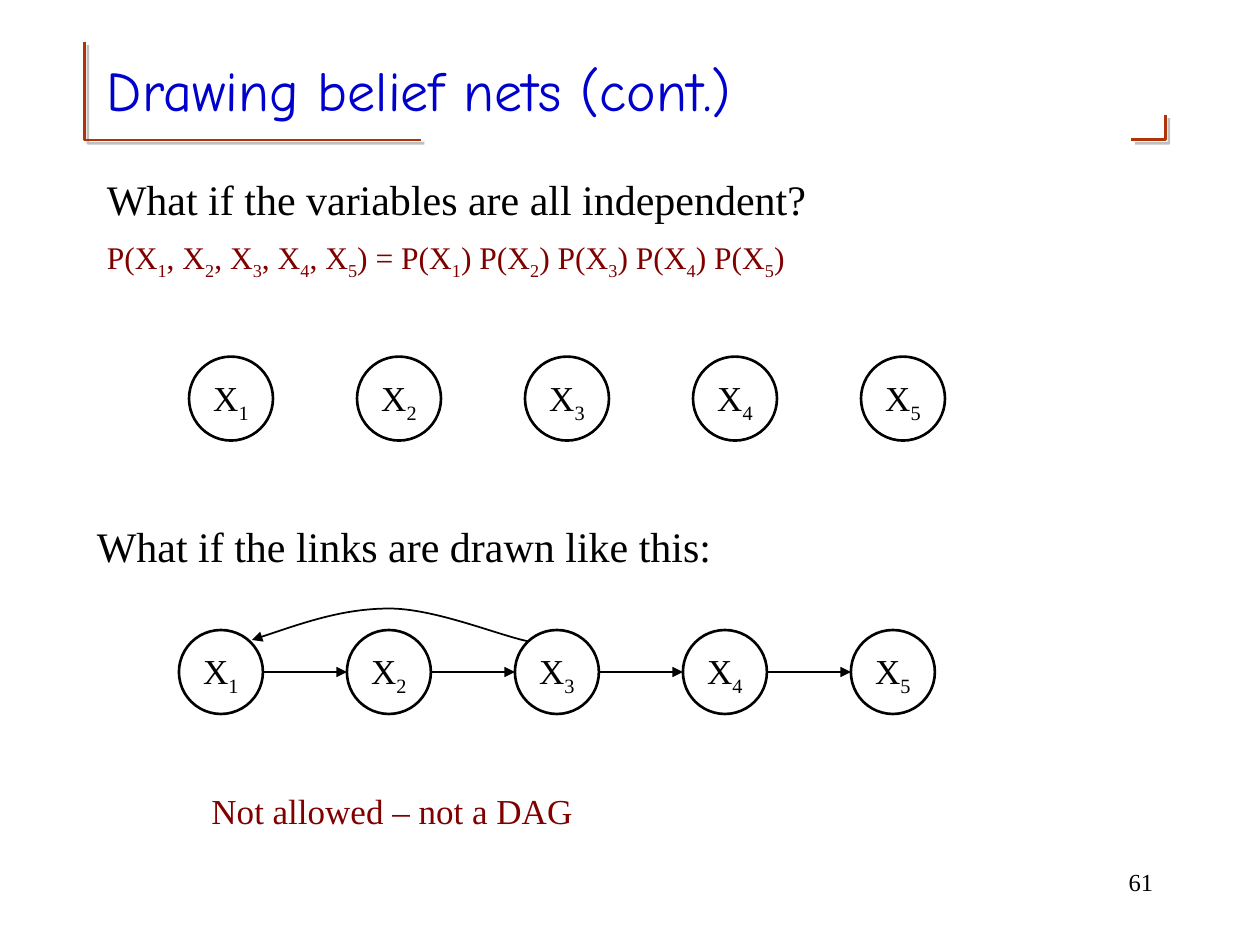
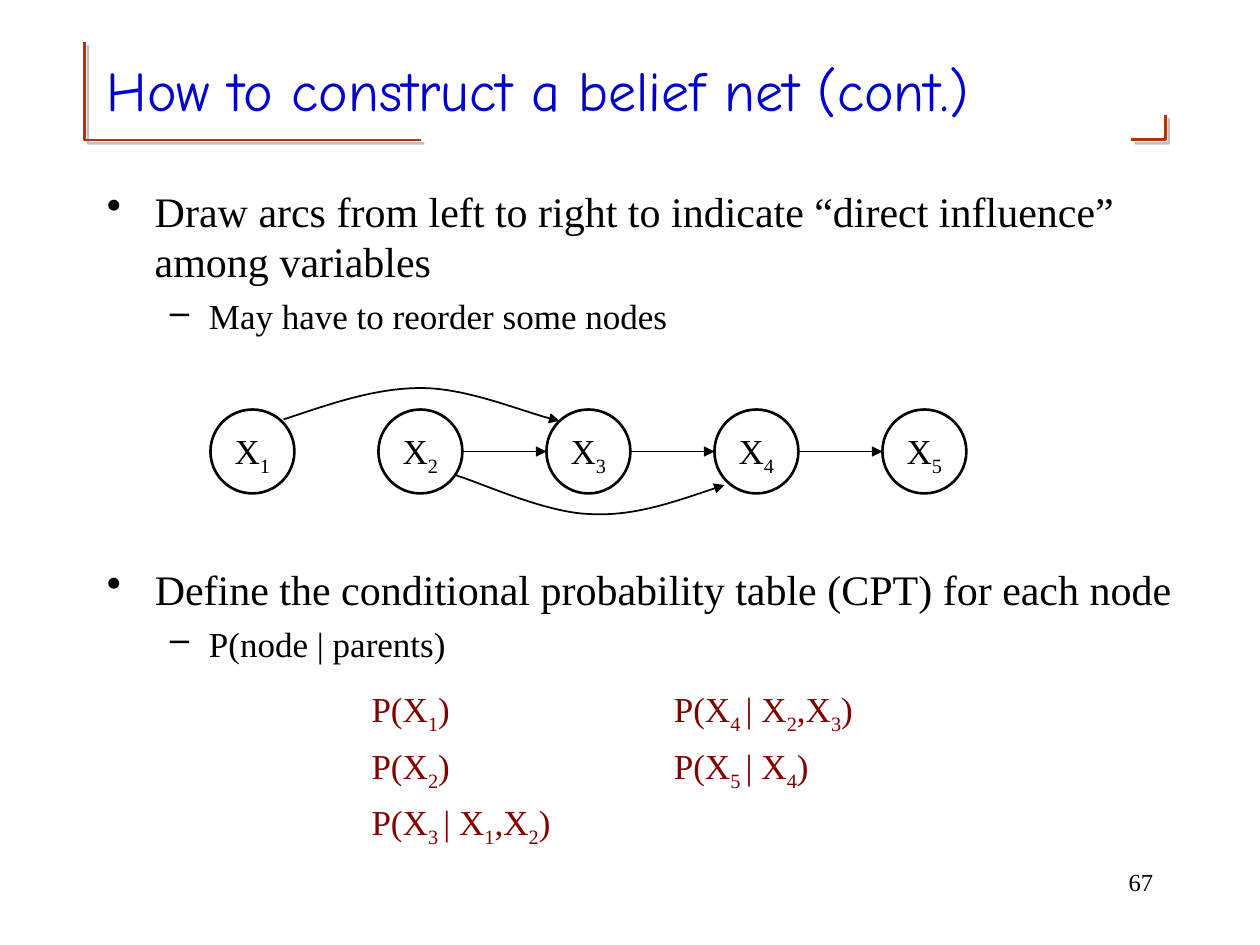
from pptx import Presentation
from pptx.dml.color import RGBColor
from pptx.enum.shapes import MSO_CONNECTOR, MSO_SHAPE
from pptx.enum.text import MSO_ANCHOR, PP_ALIGN
from pptx.oxml.ns import qn
from pptx.util import Inches, Pt
from lxml import etree

OVAL, STRAIGHT = MSO_SHAPE.OVAL, MSO_CONNECTOR.STRAIGHT
TOP, MIDDLE = MSO_ANCHOR.TOP, MSO_ANCHOR.MIDDLE
LEFT, CENTER, RIGHT = PP_ALIGN.LEFT, PP_ALIGN.CENTER, PP_ALIGN.RIGHT

COLORS = {"ink": "000000", "title": "0000CC", "formula": "800000",
          "rule": "AF3408", "shade": "808080"}
SERIF, COMIC = "Times New Roman", "Comic Neue"

# style: font, size, colour, space before, left margin, first indent, bullet
STYLES = {
    "title": (COMIC, 32, "title", 0, 0, 0, None),
    "page": (SERIF, 14, "ink", 0, 0, 0, None),
    "lead": (SERIF, 24, "ink", 0, 0.38, -0.38, None),
    "point": (SERIF, 24, "ink", 0, 0.38, -0.38, "•"),
    "sub": (SERIF, 20, "ink", 5, 0.81, -0.31, "–"),
    "joint": (SERIF, 18, "formula", 7.9, 0.38, -0.38, None),
    "note": (SERIF, 20, "formula", 0, 0, 0, None),
    "cpt": (SERIF, 20, "formula", 5, 0.5, 0, None),
    "node": (SERIF, 20, "ink", 0, 0, 0, None),
}

CORNERS = [[(0.67, 0.33), (0.67, 1.11), (3.34, 1.11)],
           [(9.25, 0.91), (9.25, 1.11), (8.98, 1.11)]]

# Nodes sit on a grid; arcs are Bezier points from a row's top left.
COUNT, SIZE, STEP = 5, 2 / 3, 4 / 3
OVER = [(0.58, 0.08), (0.94, -0.04), (1.30, -0.17), (1.67, -0.17),
        (2.03, -0.17), (2.53, 0.04), (2.77, 0.09)]
UNDER = [(1.94, 0.52), (2.12, 0.57), (2.65, 0.82), (3.01, 0.83),
         (3.36, 0.85), (3.72, 0.72), (4.08, 0.60)]

# Braces mark subscripts.
SLIDES = [
    {"title": "Drawing belief nets (cont.)", "page": "61",
     "texts": [
         ((0.75, 1.33, 8.5, 1.33), True, [
             ("lead", "What if the variables are all independent?"),
             ("joint", "P(X{1}, X{2}, X{3}, X{4}, X{5}) = "
                       "P(X{1}) P(X{2}) P(X{3}) P(X{4}) P(X{5})")]),
         ((0.67, 4.08, 8.5, 0.75), True, [
             ("lead", "What if the links are drawn like this:")]),
         ((1.58, 6.22, 3.07, 0.44), False, [
             ("note", "Not allowed – not a DAG")])],
     "nets": [
         {"at": (1.5, 2.83), "links": [], "arcs": []},
         {"at": (1.42, 5), "links": [1, 2, 3, 4],
          "arcs": [(OVER, "headEnd")]}]},
    {"title": "How to construct a belief net (cont.)", "page": "67",
     "texts": [
         ((0.75, 1.42, 8.5, 0.92), True, [
             ("point", "Draw arcs from left to right to indicate "
                       "“direct influence” among variables"),
             ("sub", "May have to reorder some nodes")]),
         ((0.75, 4.42, 8.75, 0.92), True, [
             ("point", "Define the conditional probability table (CPT) "
                       "for each node"),
             ("sub", "P(node | parents)")]),
         ((2.35, 5.41, 2.12, 1.38), False, [
             ("cpt", "P(X{1})"), ("cpt", "P(X{2})"),
             ("cpt", "P(X{3 }| X{1},X{2})")]),
         ((4.75, 5.41, 3.17, 0.93), True, [
             ("cpt", "P(X{4 }| X{2},X{3})"), ("cpt", "P(X{5 }| X{4})")])],
     "nets": [
         {"at": (1.67, 3.25), "links": [2, 3, 4],
          "arcs": [(OVER, "tailEnd"), (UNDER, "tailEnd")]}]},
]


def rgb(name):
    return RGBColor.from_string(COLORS[name])


def child(parent, tag, **attrs):
    node = etree.SubElement(parent, qn("a:" + tag))
    for key, value in attrs.items():
        node.set(key, str(value))
    return node


def add_runs(para, text):
    """Add text as runs, with the parts in braces as subscripts."""
    plain, *rest = text.split("{")
    if plain:
        para.add_run().text = plain
    for part in rest:
        low, _, plain = part.partition("}")
        run = para.add_run()
        run.text = low
        run._r.get_or_add_rPr().set("baseline", "-25000")
        if plain:
            para.add_run().text = plain


def fill_frame(frame, items, wrap=True, anchor=TOP, align=LEFT):
    frame.word_wrap = wrap
    frame.vertical_anchor = anchor
    for i, (style, text) in enumerate(items):
        font, size, color, before, margin, indent, bullet = STYLES[style]
        para = frame.add_paragraph() if i else frame.paragraphs[0]
        add_runs(para, text)
        props = para._p.get_or_add_pPr()
        props.set("marL", str(Inches(margin)))
        props.set("indent", str(Inches(indent)))
        if bullet:
            child(child(props, "buClr"), "srgbClr", val=COLORS[color])
            child(props, "buChar", char=bullet)
        para.alignment = align
        if i:
            para.space_before = Pt(before)
        para.font.name, para.font.size = font, Pt(size)
        para.font.color.rgb = rgb(color)


def add_text(slide, box, items, **look):
    shape = slide.shapes.add_textbox(*map(Inches, box))
    fill_frame(shape.text_frame, items, **look)


def set_line(shape, color, width, end=None):
    shape.line.color.rgb = rgb(color)
    shape.line.width = Pt(width)
    if end:
        child(shape.line._ln, end, type="triangle")


def add_outline(slide, points):
    spots = [(Inches(x), Inches(y)) for x, y in points]
    maker = slide.shapes.build_freeform(*spots[0])
    maker.add_line_segments(spots[1:], close=False)
    shape = maker.convert_to_shape()
    shape.fill.background()
    shape.shadow.inherit = False
    return shape


def add_corner(slide, points):
    shape = add_outline(slide, points)
    set_line(shape, "rule", 1.5)
    effects = shape._element.spPr.find(qn("a:effectLst"))
    shade = child(effects, "outerShdw", blurRad=0, dist=Pt(2.8),
                  dir=45 * 60000, algn="ctr", rotWithShape=0)
    child(child(shade, "srgbClr", val=COLORS["shade"]), "alpha", val=50000)


def add_arc(slide, points, end):
    """Draw a Bezier curve by joining each three line steps into one."""
    shape = add_outline(slide, points)
    set_line(shape, "ink", 1, end)
    steps = list(shape._element.iter(qn("a:lnTo")))
    track = steps[0].getparent()
    for i in range(0, len(steps), 3):
        curve = child(track, "cubicBezTo")
        for step in steps[i:i + 3]:
            curve.append(step[0])
            track.remove(step)


def add_net(slide, at, links, arcs):
    left, top = at
    for i in range(COUNT):
        box = (left + i * STEP, top, SIZE, SIZE)
        node = slide.shapes.add_shape(OVAL, *map(Inches, box))
        node.fill.background()
        node.shadow.inherit = False
        set_line(node, "ink", 1.5)
        fill_frame(node.text_frame, [("node", f"X{{{i + 1}}}")],
                   wrap=False, anchor=MIDDLE, align=CENTER)
        node.text_frame.paragraphs[0].line_spacing = 0.9
    level = top + SIZE / 2
    for i in links:
        tip = left + i * STEP
        ends = (tip - STEP + SIZE, level, tip, level)
        link = slide.shapes.add_connector(STRAIGHT, *map(Inches, ends))
        set_line(link, "ink", 1, "tailEnd")
        child(link._element.spPr, "effectLst")
    for points, end in arcs:
        add_arc(slide, [(left + x, top + y) for x, y in points], end)


def add_base(slide, title, page):
    for points in CORNERS:
        add_corner(slide, points)
    add_text(slide, (7.17, 6.83, 2.08, 0.5), [("page", page)], align=RIGHT)
    add_text(slide, (0.75, 0.25, 8.5, 0.92), [("title", title)],
             anchor=MIDDLE)


def main():
    deck = Presentation()
    deck.slide_width, deck.slide_height = Inches(10), Inches(7.5)
    for page in SLIDES:
        slide = deck.slides.add_slide(deck.slide_layouts[6])
        add_base(slide, page["title"], page["page"])
        for box, wrap, items in page["texts"]:
            add_text(slide, box, items, wrap=wrap)
        for net in page["nets"]:
            add_net(slide, **net)
    deck.save("out.pptx")


if __name__ == "__main__":
    main()
